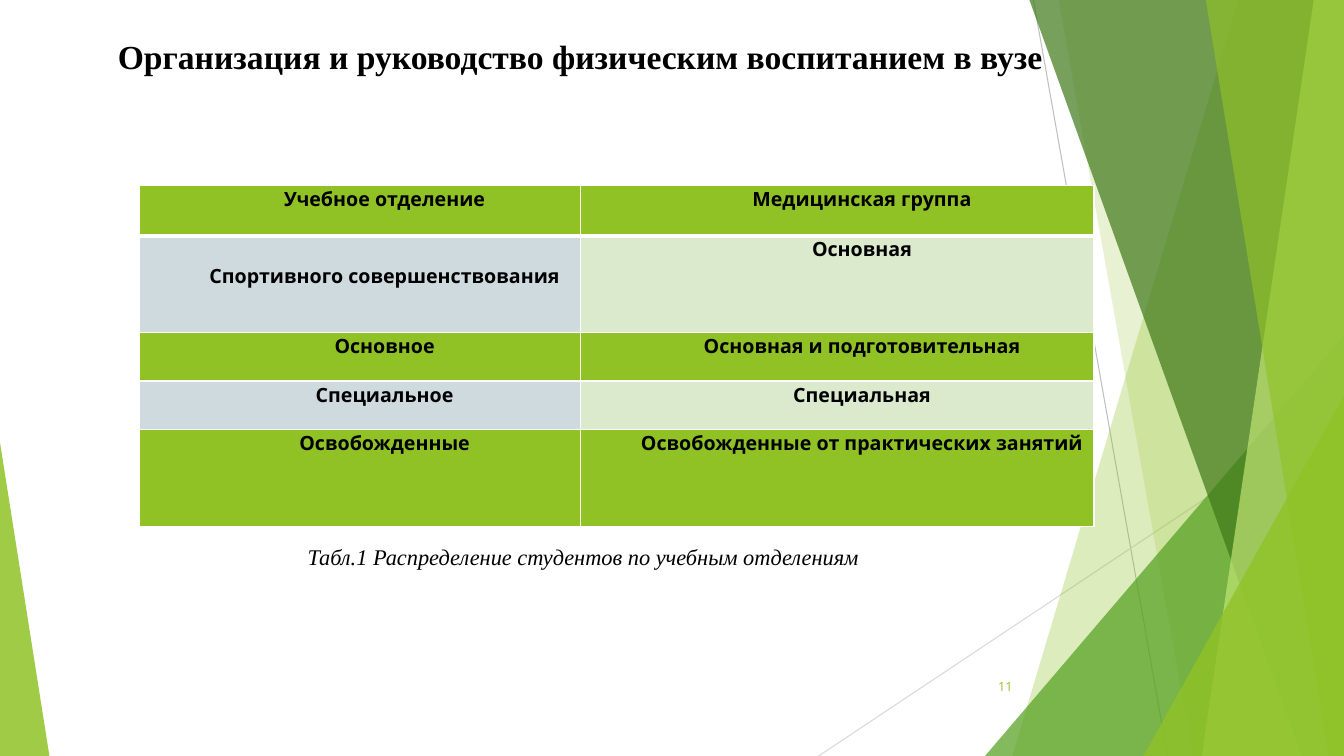
from dataclasses import dataclass

from lxml.etree import SubElement
from pptx import Presentation
from pptx.dml.color import RGBColor
from pptx.enum.shapes import MSO_CONNECTOR, MSO_SHAPE
from pptx.enum.text import MSO_ANCHOR, PP_ALIGN
from pptx.oxml import parse_xml
from pptx.oxml.ns import nsdecls, qn
from pptx.util import Inches, Pt


@dataclass(frozen=True)
class Theme:
    lime: str = "90C226"
    green: str = "54A021"
    dark_green: str = "3F7819"
    pale_lime: str = "C0E474"
    blue_band: str = "CFDADF"
    green_band: str = "DBE9CD"
    white: str = "FFFFFF"
    black: str = "000000"
    gray: str = "BFBFBF"
    light_gray: str = "D9D9D9"
    heading_font: str = "Times New Roman"
    body_font: str = "Open Sans"
    title_size: int = 24
    caption_size: int = 16
    table_size: int = 14
    number_size: int = 9


THEME = Theme()
SLIDE_WIDTH, SLIDE_HEIGHT = 13.33, 7.5
FIRST_LINE_INDENT = 0.49
ROWS = [
    ("Учебное отделение", "Медицинская группа"),
    ("Спортивного совершенствования", "Основная"),
    ("Основное", "Основная и подготовительная"),
    ("Специальное", "Специальная"),
    ("Освобожденные", "Освобожденные от практических занятий"),
]
COLUMN_WIDTHS = [4.38, 5.09]
ROW_HEIGHTS = [0.5, 0.96, 0.48, 0.48, 0.96]


def style_paragraph(paragraph, font_name, size, color, alignment=PP_ALIGN.CENTER,
                    bold=False, italic=False, indent=0):
    paragraph.alignment = alignment
    font = paragraph.font
    font.name, font.size = font_name, Pt(size)
    font.bold, font.italic = bold, italic
    font.color.rgb = RGBColor.from_string(color)
    if indent:
        properties = paragraph._p.get_or_add_pPr()
        properties.set("marL", "0")
        properties.set("indent", str(Inches(indent)))


def add_text(slide, box, text, anchor=MSO_ANCHOR.MIDDLE, **style):
    frame = slide.shapes.add_textbox(*map(Inches, box)).text_frame
    frame.word_wrap = True
    frame.vertical_anchor = anchor
    frame.text = text
    style_paragraph(frame.paragraphs[0], **style)


def paint(shape, color, opacity):
    """Fill without outline or shadow; opacity is in percent."""
    shape.shadow.inherit = False
    shape.line.fill.background()
    shape.fill.solid()
    shape.fill.fore_color.rgb = RGBColor.from_string(color)
    color_element = shape._element.spPr.find(qn("a:solidFill"))[0]
    SubElement(color_element, qn("a:alpha")).set("val", str(opacity * 1000))


def add_line(slide, start, end, color):
    line = slide.shapes.add_connector(
        MSO_CONNECTOR.STRAIGHT, *map(Inches, (*start, *end)))
    line.line.color.rgb = RGBColor.from_string(color)
    line.line.width = Pt(0.75)
    SubElement(line._element.spPr, qn("a:effectLst"))


def add_band(slide, box, top_x, bottom_x, color, opacity):
    """Fill the box to its right edge, from a slanted left side."""
    left, top, width, height = box
    right, bottom = left + width, top + height
    builder = slide.shapes.build_freeform(Inches(left + top_x), Inches(top))
    corners = [(right, top), (right, bottom), (left + bottom_x, bottom)]
    builder.add_line_segments([(Inches(x), Inches(y)) for x, y in corners])
    paint(builder.convert_to_shape(), color, opacity)


def add_triangle(slide, box, apex, color, opacity):
    triangle = slide.shapes.add_shape(MSO_SHAPE.ISOSCELES_TRIANGLE, *map(Inches, box))
    triangle.adjustments[0] = apex
    paint(triangle, color, opacity)


def add_facets(slide, box):
    """Overlapping green facets on the right, and one in the left corner."""
    left, top, width, height = box
    right, bottom = left + width, top + height

    def band(top_x, bottom_x, color, opacity):
        add_band(slide, box, top_x, bottom_x, color, opacity)

    def corner(triangle_width, triangle_height, color, opacity):
        place = (right - triangle_width, bottom - triangle_height,
                 triangle_width, triangle_height)
        add_triangle(slide, place, 1, color, opacity)

    add_line(slide, (left + 10.25, top), (left + 11.58, bottom), THEME.gray)
    add_line(slide, (right, top + 4.03), (left + 8.12, bottom), THEME.light_gray)
    band(12.28, 10.04, THEME.lime, 30)
    band(10.5, 11.83, THEME.lime, 20)
    corner(3.56, 4.17, THEME.green, 72)
    band(10.21, 12.91, THEME.dark_green, 70)
    band(13.03, 11.92, THEME.pale_lime, 70)
    band(11.96, 13.18, THEME.lime, 65)
    corner(1.99, 3.57, THEME.lime, 80)
    add_triangle(slide, (left, bottom - 3.11, 0.49, 3.11), 0, THEME.lime, 85)


def set_borders(cell, bottom_width):
    properties = cell._tc.get_or_add_tcPr()
    widths = {"lnL": 1, "lnR": 1, "lnT": 1, "lnB": bottom_width}
    for position, (side, width) in enumerate(widths.items()):
        properties.insert(position, parse_xml(
            f'<a:{side} {nsdecls("a")} w="{Pt(width)}"><a:solidFill>'
            f'<a:srgbClr val="{THEME.white}"/></a:solidFill></a:{side}>'))


def add_groups_table(slide, box):
    table = slide.shapes.add_table(
        len(ROWS), len(COLUMN_WIDTHS), *map(Inches, box)).table
    table.horz_banding = False
    for column, width in zip(table.columns, COLUMN_WIDTHS):
        column.width = Inches(width)
    for row, height in zip(table.rows, ROW_HEIGHTS):
        row.height = Inches(height)
    for row_index, texts in enumerate(ROWS):
        fills = ((THEME.blue_band, THEME.green_band) if row_index % 2
                 else (THEME.lime, THEME.lime))
        for column_index, text in enumerate(texts):
            cell = table.cell(row_index, column_index)
            cell.text = text
            cell.margin_left = cell.margin_right = Inches(0.07)
            cell.margin_top = cell.margin_bottom = 0
            cell.fill.solid()
            cell.fill.fore_color.rgb = RGBColor.from_string(fills[column_index])
            set_borders(cell, bottom_width=1 if row_index else 3)
            style_paragraph(cell.text_frame.paragraphs[0], THEME.body_font,
                            THEME.table_size, THEME.black, bold=True,
                            indent=FIRST_LINE_INDENT)
    table.cell(1, 0).margin_top = Inches(0.26)


def main():
    presentation = Presentation()
    presentation.slide_width = Inches(SLIDE_WIDTH)
    presentation.slide_height = Inches(SLIDE_HEIGHT)
    slide = presentation.slides.add_slide(presentation.slide_layouts[6])
    add_facets(slide, (0, 0, SLIDE_WIDTH, SLIDE_HEIGHT))
    add_text(slide, (9.39, 6.61, 0.75, 0.4), "11", font_name=THEME.body_font,
             size=THEME.number_size, color=THEME.lime, alignment=PP_ALIGN.RIGHT)
    add_text(slide, (0.87, 0.31, 9.77, 0.5),
             "Организация и руководство физическим воспитанием в вузе",
             anchor=MSO_ANCHOR.TOP, font_name=THEME.heading_font,
             size=THEME.title_size, color=THEME.black, bold=True)
    add_groups_table(slide, (1.38, 1.84, sum(COLUMN_WIDTHS), sum(ROW_HEIGHTS)))
    add_text(slide, (2.42, 5.32, 6.24, 0.4),
             "Табл.1 Распределение студентов по учебным отделениям",
             font_name=THEME.heading_font, size=THEME.caption_size,
             color=THEME.black, italic=True, indent=FIRST_LINE_INDENT)
    presentation.save("out.pptx")


if __name__ == "__main__":
    main()
